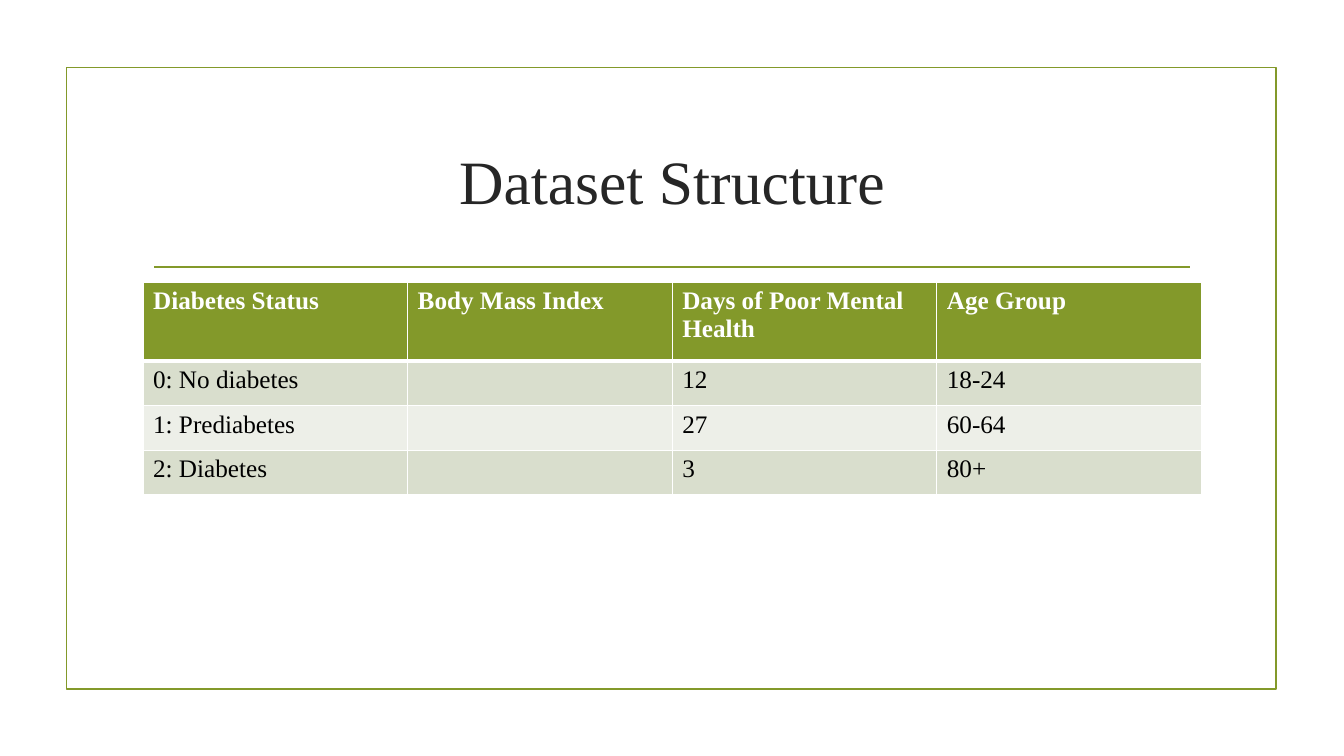
from dataclasses import dataclass

import pptx
import pptx.dml.color
import pptx.enum.shapes
import pptx.enum.text
import pptx.oxml
import pptx.oxml.ns
import pptx.util

Pt = pptx.util.Pt


@dataclass(frozen=True)
class Theme:
    font: str = "Times New Roman"
    title_size: float = 44
    table_size: float = 18
    line_width: float = 1.25
    accent: str = "83992A"
    title: str = "262626"
    text: str = "000000"
    white: str = "FFFFFF"
    bands: tuple = ("D9DECD", "EDEFE8")


THEME = Theme()

HEADER_HEIGHT, ROW_HEIGHT = 56.2, 31.9
ROWS = [
    ("Diabetes Status", "Body Mass Index", "Days of Poor Mental Health", "Age Group"),
    ("0: No diabetes", "", "12", "18-24"),
    ("1: Prediabetes", "", "27", "60-64"),
    ("2: Diabetes", "", "3", "80+"),
]


def rgb(color):
    return pptx.dml.color.RGBColor.from_string(color)


def style_runs(p, size, color, bold=False):
    for r in p.runs:
        r.font.name = THEME.font
        r.font.size = Pt(size)
        r.font.bold = bold
        r.font.color.rgb = rgb(color)


def style_line(line):
    line.color.rgb = rgb(THEME.accent)
    line.width = Pt(THEME.line_width)


def add_frame(slide, x, y, w, h):
    sp = slide.shapes.add_shape(
        pptx.enum.shapes.MSO_SHAPE.RECTANGLE, Pt(x), Pt(y), Pt(w), Pt(h))
    sp.shadow.inherit = False
    sp.fill.background()
    style_line(sp.line)


def add_title(slide, x, y, w, h, text):
    # Rule under the title, inset at both ends
    inset, gap = 8, 10.8
    rule = slide.shapes.add_connector(
        pptx.enum.shapes.MSO_CONNECTOR.STRAIGHT,
        Pt(x + inset), Pt(y + h + gap), Pt(x + w - inset), Pt(y + h + gap))
    style_line(rule.line)
    rule._element.spPr.append(pptx.oxml.parse_xml(
        f'<a:effectLst {pptx.oxml.ns.nsdecls("a")}/>'))

    # Title text
    tf = slide.shapes.add_textbox(Pt(x), Pt(y), Pt(w), Pt(h)).text_frame
    tf.word_wrap = True
    tf.vertical_anchor = pptx.enum.text.MSO_ANCHOR.MIDDLE
    tf.text = text
    p = tf.paragraphs[0]
    p.alignment = pptx.enum.text.PP_ALIGN.CENTER
    style_runs(p, THEME.title_size, THEME.title)


def set_borders(cell, top, bottom):
    tc_pr = cell._tc.get_or_add_tcPr()
    for side, width in (("L", 1), ("R", 1), ("T", top), ("B", bottom)):
        tc_pr.append(pptx.oxml.parse_xml(
            f'<a:ln{side} {pptx.oxml.ns.nsdecls("a")} w="{Pt(width)}">'
            f'<a:solidFill><a:srgbClr val="{THEME.white}"/></a:solidFill>'
            f'</a:ln{side}>'))


def add_data_table(slide, x, y, w, rows):
    heights = [HEADER_HEIGHT] + [ROW_HEIGHT] * (len(rows) - 1)
    table = slide.shapes.add_table(
        len(rows), len(rows[0]), Pt(x), Pt(y), Pt(w), Pt(sum(heights))).table
    for column in table.columns:
        column.width = Pt(w / len(rows[0]))

    for i, values in enumerate(rows):
        table.rows[i].height = Pt(heights[i])
        header = i == 0
        fill = THEME.accent if header else THEME.bands[(i - 1) % 2]
        color = THEME.white if header else THEME.text
        for j, value in enumerate(values):
            cell = table.cell(i, j)
            # A thick border divides the header from the body
            set_borders(cell, 3 if i == 1 else 1, 3 if header else 1)
            cell.fill.solid()
            cell.fill.fore_color.rgb = rgb(fill)
            p = cell.text_frame.paragraphs[0]
            p.font.size = Pt(THEME.table_size)
            if value:
                p.text = value
                style_runs(p, THEME.table_size, color, header)


def add_table_slide(prs, title, rows):
    slide = prs.slides.add_slide(prs.slide_layouts[6])
    left, width = 102.2, 756
    add_frame(slide, 47.5, 48.2, 864, 444)
    add_title(slide, left, 77, width, 103, title)
    add_data_table(slide, left, 201.7, width, rows)


def main():
    prs = pptx.Presentation()
    prs.slide_width, prs.slide_height = Pt(960), Pt(540)
    add_table_slide(prs, "Dataset Structure", ROWS)
    prs.save("out.pptx")


if __name__ == "__main__":
    main()
